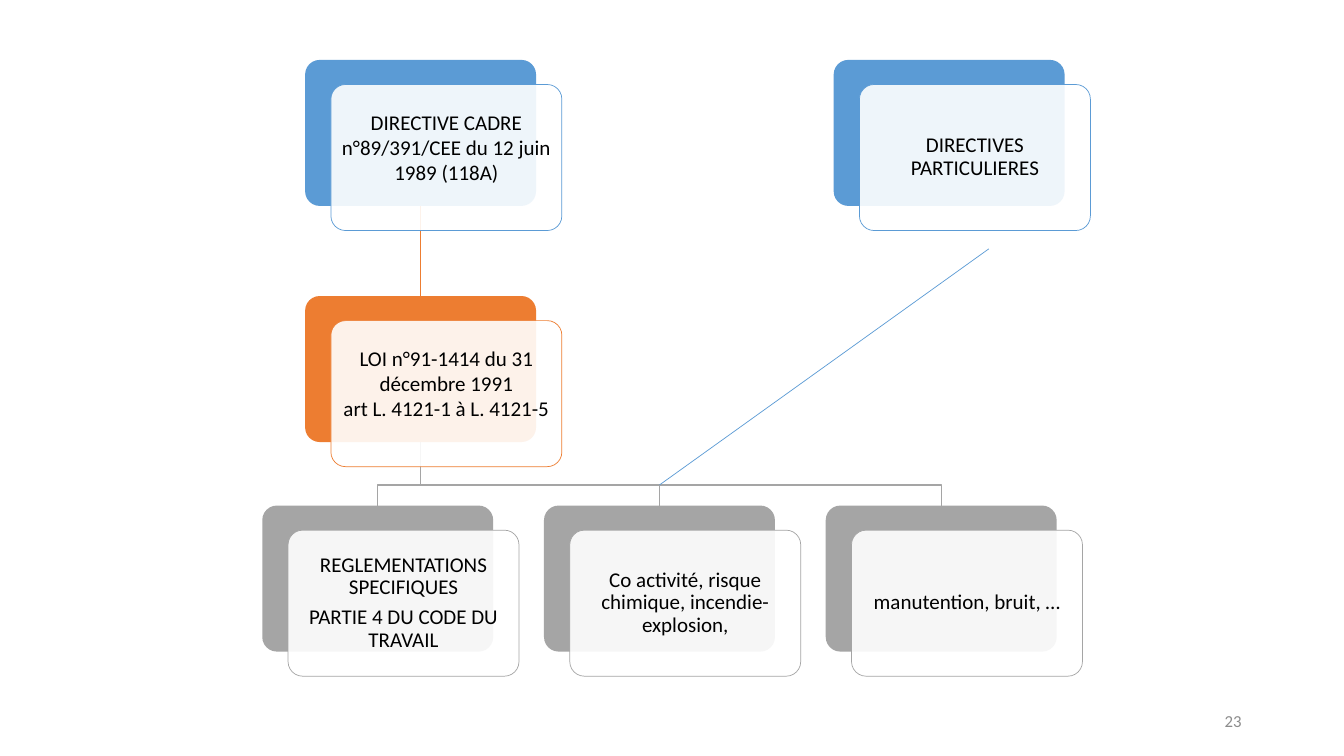
import pptx
import pptx.util
import pptx.dml.color
import pptx.enum.shapes
import pptx.enum.text
import pptx.oxml.ns
import lxml.etree

Cm = pptx.util.Cm
Pt = pptx.util.Pt
ALIGN = pptx.enum.text.PP_ALIGN

COLORS = {
    "blue": "5B9BD5",
    "orange": "ED7D31",
    "gray": "A5A5A5",
    "white": "FFFFFF",
    "text": "000000",
    "number": "8C8C8C",
}
CARD_W, CARD_H = 5.82, 3.68
SHIFT_X, SHIFT_Y = 0.65, 0.62
LEFT_X, RIGHT_X = 7.69, 21.01
EU_Y, LAW_Y, RULES_Y = 1.51, 7.46, 12.74
RULES_X = [6.61 + 7.1 * column for column in range(3)]
BUS_Y = 12.22

TIGHT = {"line_spacing": 0.9, "space_after": Pt(5.25)}
PLAIN = {"line_spacing": 1.0, "space_after": Pt(0)}
LIFTED = 0.69
INSET = 0.16


def rgb(name):
    return pptx.dml.color.RGBColor.from_string(COLORS[name])


def apply(target, values):
    for name, value in values.items():
        setattr(target, name, value)


class Diagram:
    font = "Calibri"

    def __init__(self, slide):
        self.slide = slide

    def outline(self, shape, color, width):
        shape.line.color.rgb = rgb(color)
        shape.line.width = Pt(width)

    def fill_text(self, frame, paragraphs, size, color, align, spacing):
        for index, wording in enumerate(paragraphs):
            paragraph = frame.paragraphs[0] if index == 0 else frame.add_paragraph()
            paragraph.text = wording
            apply(paragraph, {"alignment": align, **spacing})
            apply(paragraph.font, {"name": self.font, "size": Pt(size)})
            paragraph.font.color.rgb = rgb(color)

    def block(self, x, y, color):
        block = self.slide.shapes.add_shape(
            pptx.enum.shapes.MSO_SHAPE.ROUNDED_RECTANGLE,
            Cm(x), Cm(y), Cm(CARD_W), Cm(CARD_H))
        block.adjustments[0] = 0.1
        block.shadow.inherit = False
        block.fill.solid()
        block.fill.fore_color.rgb = rgb(color)
        block.line.fill.background()
        return block

    def card(self, x, y, color, paragraphs, spacing=TIGHT, bottom=INSET):
        self.block(x, y, color)
        panel = self.block(x + SHIFT_X, y + SHIFT_Y, "white")
        white = panel._element.spPr.find(".//" + pptx.oxml.ns.qn("a:srgbClr"))
        lxml.etree.SubElement(white, pptx.oxml.ns.qn("a:alpha"), val="90000")
        self.outline(panel, color, 0.5)
        apply(panel.text_frame, {
            "word_wrap": True,
            "vertical_anchor": pptx.enum.text.MSO_ANCHOR.MIDDLE,
            "margin_left": Cm(INSET), "margin_right": Cm(INSET),
            "margin_top": Cm(INSET), "margin_bottom": Cm(bottom),
        })
        self.fill_text(panel.text_frame, paragraphs, 15, "text", ALIGN.CENTER, spacing)

    def branch(self, points, color):
        corners = [(Cm(x), Cm(y)) for x, y in points]
        builder = self.slide.shapes.build_freeform(*corners[0], scale=1.0)
        builder.add_line_segments(corners[1:], close=False)
        branch = builder.convert_to_shape()
        branch.shadow.inherit = False
        branch.fill.background()
        self.outline(branch, color, 1)

    def link(self, start, end, color, width):
        link = self.slide.shapes.add_connector(
            pptx.enum.shapes.MSO_CONNECTOR.STRAIGHT,
            *(Cm(value) for value in start + end))
        self.outline(link, color, width)
        lxml.etree.SubElement(link._element.spPr, pptx.oxml.ns.qn("a:effectLst"))

    def page_number(self, number):
        box = self.slide.shapes.add_textbox(Cm(23.92), Cm(17.65), Cm(7.62), Cm(1.01))
        apply(box.text_frame, {
            "word_wrap": True,
            "vertical_anchor": pptx.enum.text.MSO_ANCHOR.MIDDLE,
        })
        self.fill_text(box.text_frame, [number], 12, "number", ALIGN.RIGHT, PLAIN)


def main():
    deck = pptx.Presentation()
    apply(deck, {"slide_width": Cm(33.87), "slide_height": Cm(19.05)})
    diagram = Diagram(deck.slides.add_slide(deck.slide_layouts[6]))

    trunk = LEFT_X + CARD_W / 2
    rule_centers = [x + CARD_W / 2 for x in RULES_X]
    for center in reversed(rule_centers):
        diagram.branch([(trunk, LAW_Y + CARD_H), (trunk, BUS_Y),
                        (center, BUS_Y), (center, RULES_Y)], "gray")
    diagram.link((trunk, EU_Y + CARD_H), (trunk, LAW_Y), "orange", 1)

    diagram.card(RIGHT_X, EU_Y, "blue", ["DIRECTIVES PARTICULIERES"])
    diagram.card(LEFT_X, EU_Y, "blue",
                 ["DIRECTIVE CADRE n°89/391/CEE du 12 juin 1989 (118A)"],
                 PLAIN, LIFTED)
    diagram.card(LEFT_X, LAW_Y, "orange",
                 ["LOI n°91-1414 du 31 décembre 1991", "art L. 4121-1 à L. 4121-5"],
                 PLAIN, LIFTED)
    rules = [
        ["REGLEMENTATIONS SPECIFIQUES", "PARTIE 4 DU CODE DU TRAVAIL"],
        ["Co activité, risque chimique, incendie-explosion,"],
        ["manutention, bruit, …"],
    ]
    for x, paragraphs in zip(RULES_X, rules):
        diagram.card(x, RULES_Y, "gray", paragraphs)

    diagram.link((24.92, 6.27), (rule_centers[1], BUS_Y), "blue", 0.5)
    diagram.page_number("23")
    deck.save("out.pptx")


if __name__ == "__main__":
    main()
